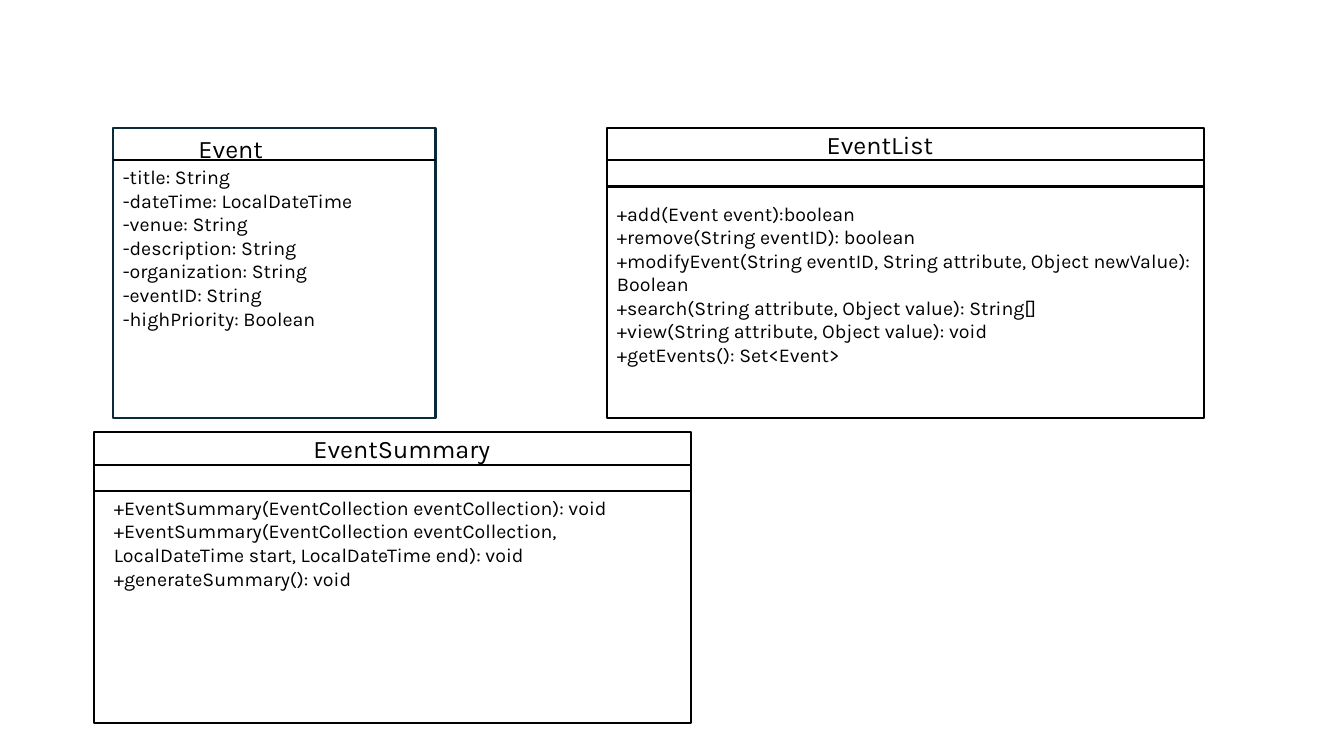
from dataclasses import dataclass

from lxml import etree
from pptx import Presentation
from pptx.dml.color import RGBColor
from pptx.enum.shapes import MSO_CONNECTOR, MSO_SHAPE
from pptx.enum.text import MSO_AUTO_SIZE
from pptx.oxml.ns import qn
from pptx.util import Inches, Pt

RECT = MSO_SHAPE.RECTANGLE
STRAIGHT = MSO_CONNECTOR.STRAIGHT
GROW = MSO_AUTO_SIZE.SHAPE_TO_FIT_TEXT


@dataclass
class Theme:
    font: str = "Karla"
    ink: RGBColor = RGBColor(0x00, 0x00, 0x00)
    navy: RGBColor = RGBColor(0x09, 0x2A, 0x39)
    title: Pt = Pt(18)
    body: Pt = Pt(14)
    rule: Pt = Pt(1.5)


theme = Theme()

# Box height, and how far each rule sits below the top edge
HEIGHT = 2.88
HEAD, FIELDS = 0.32, 0.58

# Each class: box (left, top, width), edge colour, rules,
# title (left, top, width), members (left, top, width, height)
classes = [
    dict(box=(1.12, 1.27, 3.2), edge=theme.navy, rules=[HEAD],
         name="Event", title=(1.87, 1.27, 2.38),
         body=(1.12, 1.59, 3.03, 1.75),
         members=["-title: String",
                  "-dateTime: LocalDateTime",
                  "-venue: String",
                  "-description: String",
                  "-organization: String",
                  "-eventID: String",
                  "-highPriority: Boolean"]),
    dict(box=(6.02, 1.27, 5.92), edge=theme.ink, rules=[HEAD, FIELDS],
         name="EventList", title=(8.1, 1.23, 2.09),
         body=(6.02, 1.95, 5.92, 2.22),
         members=["+add(Event event):boolean",
                  "+remove(String eventID): boolean",
                  "+modifyEvent(String eventID, String attribute, "
                  "Object newValue): Boolean",
                  "+search(String attribute, Object value): String[]",
                  "+view(String attribute, Object value): void",
                  "+getEvents(): Set<Event>"]),
    dict(box=(0.93, 4.29, 5.92), edge=theme.ink, rules=[HEAD, FIELDS],
         name="EventSummary", title=(3.01, 4.25, 2.09),
         body=(1.03, 4.87, 5.71, 1.04),
         members=["+EventSummary(EventCollection eventCollection): void",
                  "+EventSummary(EventCollection eventCollection, "
                  "LocalDateTime start, LocalDateTime end): void",
                  "+generateSummary(): void"]),
]


def add_text(group, place, lines, size):
    box = group.shapes.add_textbox(*[Inches(n) for n in place])
    frame = box.text_frame
    frame.word_wrap = True
    frame.auto_size = GROW
    frame.text = "\n".join(lines)
    for para in frame.paragraphs:
        for run in para.runs:
            run.font.name = theme.font
            run.font.size = size
            run.font.color.rgb = theme.ink


deck = Presentation()
deck.slide_width = Inches(13.33)
deck.slide_height = Inches(7.5)
slide = deck.slides.add_slide(deck.slide_layouts[6])

for item in classes:
    left, top, width = item["box"]
    group = slide.shapes.add_group_shape()

    # Class outline
    frame = group.shapes.add_shape(RECT, Inches(left), Inches(top),
                                   Inches(width), Inches(HEIGHT))
    frame.shadow.inherit = False
    frame.fill.background()
    frame.line.color.rgb = item["edge"]
    frame.line.width = theme.rule

    # Compartment rules
    for drop in item["rules"]:
        level = Inches(top + drop)
        rule = group.shapes.add_connector(STRAIGHT, Inches(left), level,
                                          Inches(left + width), level)
        rule.line.color.rgb = theme.ink
        rule.line.width = theme.rule
        etree.SubElement(rule._element.spPr, qn("a:effectLst"))

    # Class name and members
    add_text(group, (*item["title"], 0.4), [item["name"]], theme.title)
    add_text(group, item["body"], item["members"], theme.body)

deck.save("out.pptx")
